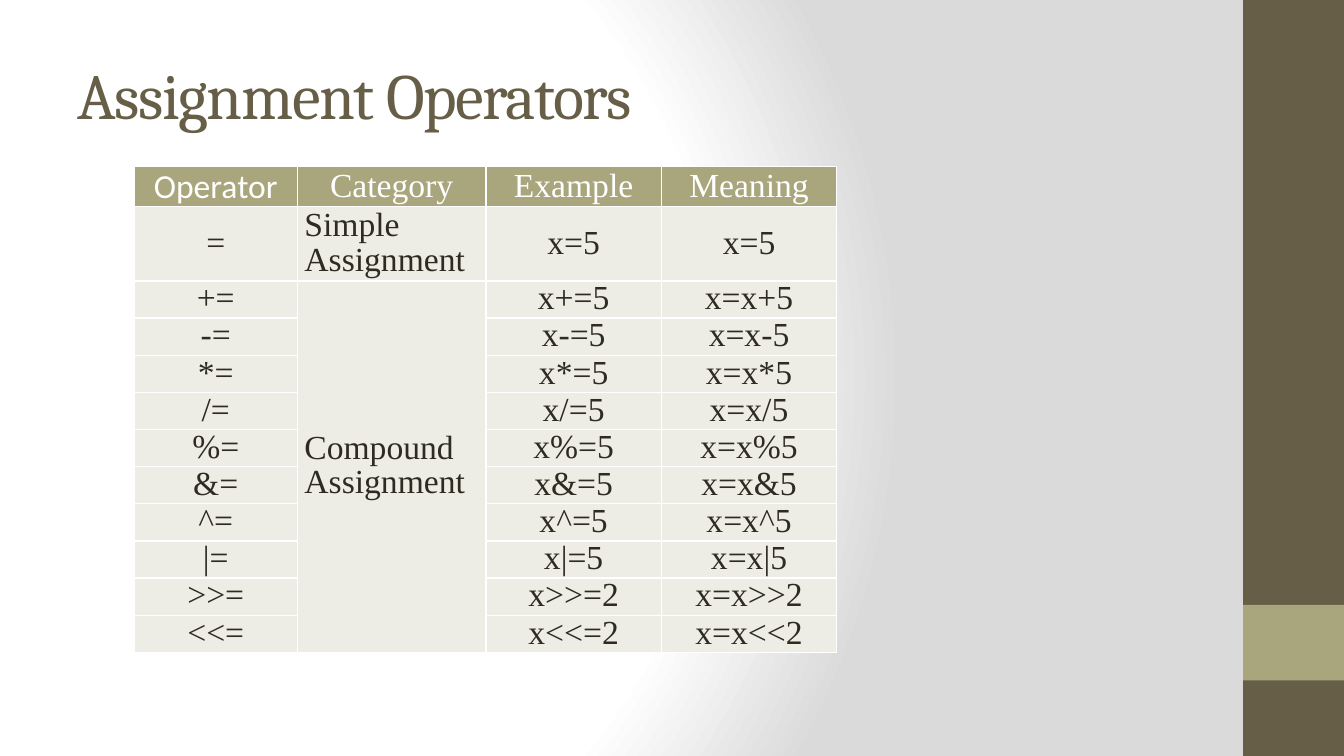
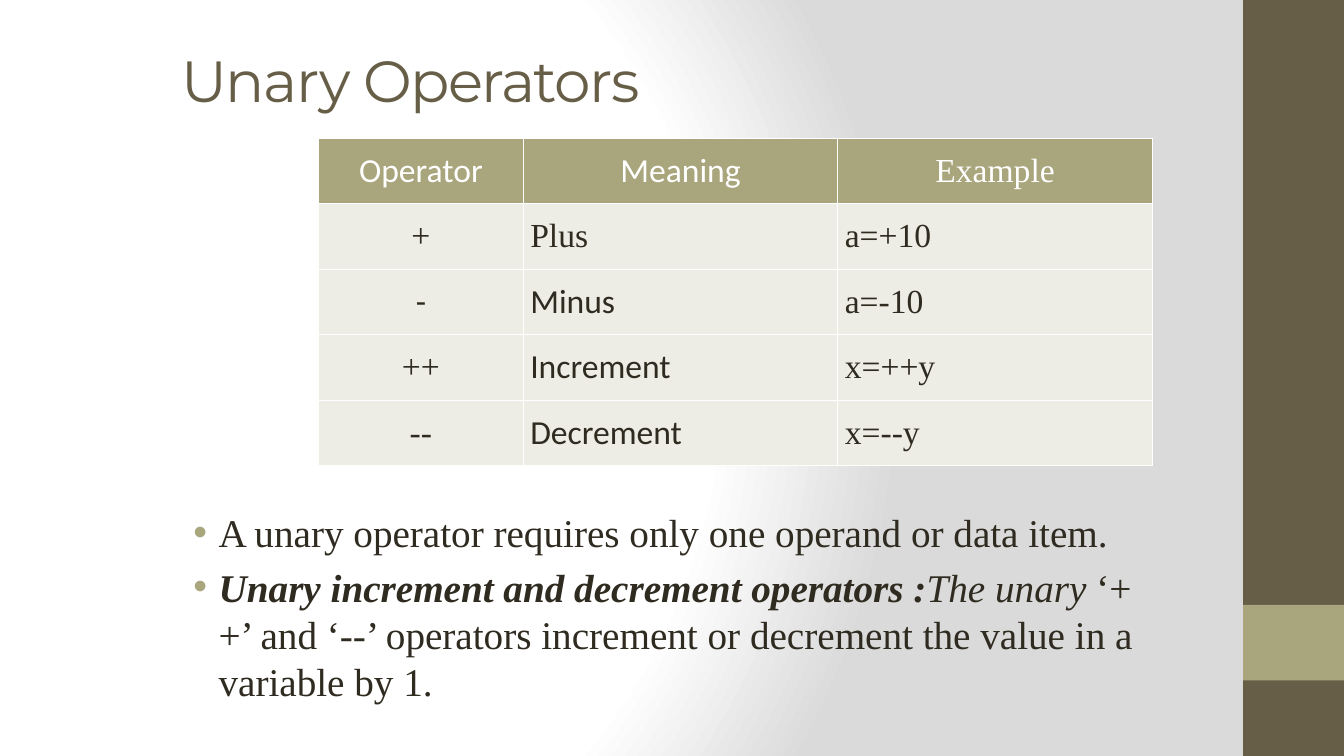
from lxml.etree import SubElement
from pptx import Presentation
from pptx.dml.color import RGBColor
from pptx.enum.shapes import MSO_SHAPE
from pptx.enum.text import MSO_ANCHOR, PP_ALIGN
from pptx.oxml import parse_xml
from pptx.oxml.ns import nsdecls, qn
from pptx.util import Inches, Pt

BROWN = RGBColor(0x67, 0x5E, 0x47)
OLIVE = RGBColor(0xA9, 0xA5, 0x7C)
PALE = RGBColor(0xEE, 0xED, 0xE5)
INK = RGBColor(0x2F, 0x2B, 0x20)
WHITE = RGBColor(0xFF, 0xFF, 0xFF)
GREY = RGBColor(0xDA, 0xDA, 0xDA)
SERIF = "Times New Roman"
SANS = "Calibri"


def write(paragraph, text, font=SERIF, size=24, color=INK, bold=False,
          italic=False, spacing=None):
    """Add one formatted run to a paragraph."""
    run = paragraph.add_run()
    run.text = text
    run.font.name = font
    run.font.size = Pt(size)
    run.font.color.rgb = color
    run.font.bold = bold
    run.font.italic = italic
    if spacing is not None:
        run.font._element.set("spc", str(spacing * 100))


def set_borders(cell):
    """Give a cell thin white borders; they come before its fill."""
    properties = cell._tc.get_or_add_tcPr()
    for index, edge in enumerate(("lnL", "lnR", "lnT", "lnB")):
        properties.insert(index, parse_xml(
            f'<a:{edge} {nsdecls("a")} w="{Pt(1)}"><a:solidFill>'
            f'<a:srgbClr val="{WHITE}"/></a:solidFill></a:{edge}>'))


class Deck:
    """Holds the shared style and the current slide."""

    def __init__(self):
        self.presentation = Presentation()
        self.presentation.slide_width = Inches(13.33)
        self.presentation.slide_height = Inches(7.5)
        self.slide = None
        self.set_background()

    def set_background(self):
        """Radial gradient on the master, shared by all slides."""
        master = self.presentation.slide_master
        master.background.fill.gradient()
        gradient = master.element.find(".//" + qn("a:gradFill"))
        stops = "".join(
            f'<a:gs pos="{position * 1000}"><a:srgbClr val="{color}"/></a:gs>'
            for position, color in ((0, WHITE), (75, WHITE), (100, GREY)))
        gradient.getparent().replace(gradient, parse_xml(
            f'<a:gradFill {nsdecls("a")} rotWithShape="1">'
            f'<a:gsLst>{stops}</a:gsLst><a:path path="circle">'
            '<a:fillToRect l="20000" t="50000" r="100000" b="50000"/>'
            '</a:path></a:gradFill>'))

    def new_slide(self):
        self.slide = self.presentation.slides.add_slide(
            self.presentation.slide_layouts[6])
        self.band(0, 7.5, BROWN)
        self.band(6, 0.75, OLIVE)

    def band(self, top, height, color):
        shape = self.slide.shapes.add_shape(
            MSO_SHAPE.RECTANGLE, Inches(12.33), Inches(top), Inches(1),
            Inches(height))
        shape.shadow.inherit = False
        shape.fill.solid()
        shape.fill.fore_color.rgb = color
        shape.line.fill.background()

    def text_frame(self, left, top, width, height):
        shape = self.slide.shapes.add_textbox(
            Inches(left), Inches(top), Inches(width), Inches(height))
        shape.text_frame.word_wrap = True
        return shape.text_frame

    def title(self, text, left, top, width, height, font, size):
        frame = self.text_frame(left, top, width, height)
        frame.vertical_anchor = MSO_ANCHOR.MIDDLE
        write(frame.paragraphs[0], text, font=font, size=size, color=BROWN,
              spacing=-1)

    def bullets(self, items, left, top, width, height, size=28):
        """Each item is a list of (text, format) runs."""
        frame = self.text_frame(left, top, width, height)
        for index, runs in enumerate(items):
            paragraph = frame.add_paragraph() if index else frame.paragraphs[0]
            properties = paragraph._p.get_or_add_pPr()
            properties.set("marL", str(Inches(0.38)))
            properties.set("indent", str(Inches(-0.25)))
            if index:
                paragraph.space_before = Pt(size * 0.2)
            bullet_color = SubElement(properties, qn("a:buClr"))
            SubElement(bullet_color, qn("a:srgbClr"), val=str(OLIVE))
            SubElement(properties, qn("a:buFont"), typeface="Arial")
            SubElement(properties, qn("a:buChar"), char="•")
            for text, style in runs:
                write(paragraph, text, size=size, **style)

    def table(self, rows, left, top, widths, heights, left_columns, sans,
              line_spacing=None):
        """Words in sans use the sans font; left_columns are not centred."""
        table = self.slide.shapes.add_table(
            len(rows), len(widths), Inches(left), Inches(top),
            Inches(sum(widths)), Inches(sum(heights))).table
        table.horz_banding = False
        for column, width in zip(table.columns, widths):
            column.width = Inches(width)
        for row, height in zip(table.rows, heights):
            row.height = Inches(height)
        for row_index, texts in enumerate(rows):
            header = row_index == 0
            for column_index, text in enumerate(texts):
                cell = table.cell(row_index, column_index)
                cell.margin_left = cell.margin_right = Inches(0.07)
                cell.margin_top = cell.margin_bottom = 0
                cell.vertical_anchor = MSO_ANCHOR.MIDDLE
                cell.fill.solid()
                cell.fill.fore_color.rgb = OLIVE if header else PALE
                set_borders(cell)
                paragraph = cell.text_frame.paragraphs[0]
                at_left = column_index in left_columns and not header
                paragraph.alignment = (
                    PP_ALIGN.LEFT if at_left else PP_ALIGN.CENTER)
                if not header:
                    paragraph.line_spacing = line_spacing
                if text:
                    write(paragraph, text, font=SANS if text in sans else SERIF,
                          color=WHITE if header else INK)
        return table


def assignment_slide(deck):
    deck.new_slide()
    deck.title("Assignment Operators", 0.67, 0.3, 11.11, 1.25, "Cambria", 46)
    rows = [("Operator", "Category", "Example", "Meaning"),
            ("=", "Simple Assignment", "x=5", "x=5")]
    for sign in ("+", "-", "*", "/", "%", "&", "^", "|", ">>", "<<"):
        value = 2 if sign in (">>", "<<") else 5
        category = "Compound Assignment" if sign == "+" else ""
        rows.append((f"{sign}=", category, f"x{sign}={value}",
                     f"x=x{sign}{value}"))
    table = deck.table(rows, 1.33, 1.65, (1.62, 1.87, 1.74, 1.74),
                       [0.33] + [0.31] * 11, left_columns=(1,),
                       sans=("Operator",), line_spacing=0.92)
    table.cell(2, 1).merge(table.cell(len(rows) - 1, 1))


def unary_slide(deck):
    deck.new_slide()
    deck.title("Unary Operators", 1.7, 0.4, 11.19, 0.78, "Montserrat", 41.4)
    deck.bullets([
        [("A unary operator requires only one operand or data item.", {})],
        [("Unary increment and decrement operators :",
          {"bold": True, "italic": True}),
         ("The unary ", {"italic": True}),
         ("‘++’ and ‘--’ operators increment or decrement the value in a "
          "variable by 1.", {})],
    ], 1.69, 4.99, 9.94, 2.11)
    rows = [("Operator", "Meaning", "Example"),
            ("+", "Plus", "a=+10"),
            ("-", "Minus", "a=-10"),
            ("++", "Increment", "x=++y"),
            ("--", "Decrement", "x=--y")]
    deck.table(rows, 3.16, 1.37, (2.03, 3.12, 3.12), [0.65] * len(rows),
               left_columns=(1, 2),
               sans=("Operator", "Meaning", "-", "Minus", "Increment",
                     "Decrement"))


def main():
    deck = Deck()
    assignment_slide(deck)
    unary_slide(deck)
    deck.presentation.save("out.pptx")


if __name__ == "__main__":
    main()
